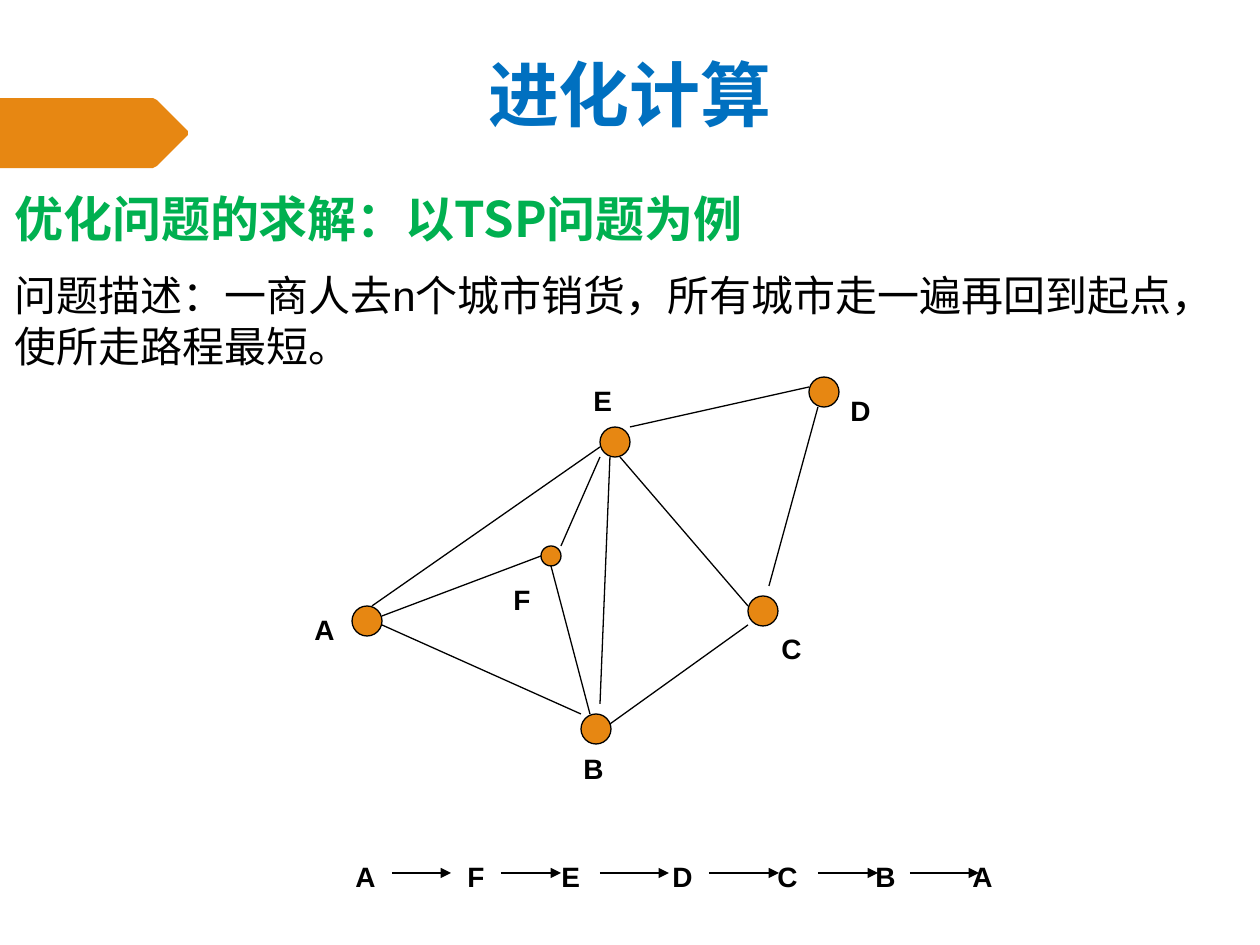
from lxml import etree
from pptx import Presentation
from pptx.dml.color import RGBColor
from pptx.enum.shapes import MSO_CONNECTOR, MSO_SHAPE
from pptx.enum.text import MSO_ANCHOR, PP_ALIGN
from pptx.oxml.ns import qn
from pptx.util import Emu, Pt

PX = 914400 // 126
STRAIGHT, OVAL = MSO_CONNECTOR.STRAIGHT, MSO_SHAPE.OVAL
MIDDLE, TOP = MSO_ANCHOR.MIDDLE, MSO_ANCHOR.TOP
CENTER, LEFT = PP_ALIGN.CENTER, PP_ALIGN.LEFT
CJK, LATIN = "Noto Sans CJK SC", "Arial"
COLORS = {"orange": "E78712", "blue": "0070C0", "green": "00B050", "black": "000000"}

# Content: boxes are (left, top, width, height) in px
HEADINGS = [
    ("进化计算", (62, 45, 1136, 96),
     {"size": 40.5, "font": CJK, "color": "blue", "bold": True}, CENTER, MIDDLE, None),
    ("优化问题的求解：以TSP问题为例", (2, 181, 1109, 72),
     {"size": 28, "font": CJK, "color": "green", "bold": True}, LEFT, TOP, 34.2),
    ("问题描述：一商人去n个城市销货，所有城市走一遍再回到起点，使所走路程最短。",
     (2, 262, 1195, 115),
     {"size": 24, "font": LATIN, "color": "black", "bold": False}, LEFT, TOP, 29.3),
]
LABEL = {"size": 16, "font": LATIN, "color": "black", "bold": True}
BANNER = [(0, 98), (153, 98), (157, 100), (188, 131), (188, 135),
          (157, 166), (153, 168), (0, 168)]

# City: (left, top, diameter), (label left, label top)
CITIES = {
    "A": ((352, 606, 30), (302, 606)),
    "B": ((581, 714, 30), (571, 745)),
    "C": ((748, 596, 30), (769, 625)),
    "D": ((809, 377, 30), (838, 387)),
    "E": ((600, 427, 30), (581, 377)),
    "F": ((541, 546, 20), (501, 576)),
}
ROADS = {
    "AF": (382, 616, 541, 556),
    "AB": (382, 625, 581, 714),
    "FB": (551, 566, 590, 714),
    "FE": (561, 546, 600, 457),
    "EB": (610, 457, 600, 704),
    "AE": (372, 606, 600, 447),
    "ED": (630, 427, 809, 387),
    "EC": (620, 457, 748, 606),
    "BC": (610, 724, 748, 625),
    "DC": (818, 407, 769, 586),
}
TOUR = "AFEDCBA"
TOUR_BOX = (343, 853, 674, 47)
TOUR_TABS = [112, 206, 317, 422, 520, 617]
ARROW_Y = 873
ARROWS = [(392, 451), (501, 561), (600, 669), (709, 779), (818, 878), (910, 979)]


def px(*values):
    return [Emu(value * PX) for value in values]


def rgb(name):
    return RGBColor.from_string(COLORS[name])


def add_text(page, text, bounds, style, align=LEFT, anchor=TOP,
             spacing=None, wrap=True, tabs=()):
    frame = page.shapes.add_textbox(*px(*bounds)).text_frame
    frame.word_wrap, frame.vertical_anchor = wrap, anchor
    para = frame.paragraphs[0]
    para.alignment = align
    if spacing:
        para.line_spacing = Pt(spacing)
    if tabs:
        stops = etree.SubElement(para._p.get_or_add_pPr(), qn("a:tabLst"))
        for position in tabs:
            etree.SubElement(stops, qn("a:tab"), pos=str(position * PX), algn="l")
    span = para.add_run()
    span.text = text
    values = {"size": Pt(style["size"]), "name": style["font"], "bold": style["bold"]}
    for name, value in values.items():
        setattr(span.font, name, value)
    span.font.color.rgb = rgb(style["color"])
    etree.SubElement(span._r.get_or_add_rPr(), qn("a:ea"), typeface=CJK)


def add_line(page, ends, arrow=False):
    line = page.shapes.add_connector(STRAIGHT, *px(*ends))
    line.line.color.rgb = rgb("black")
    line.line.width = Pt(0.75)
    if arrow:
        etree.SubElement(line.line._get_or_add_ln(), qn("a:tailEnd"), type="triangle")
    etree.SubElement(line._element.spPr, qn("a:effectLst"))


def add_banner(page):
    builder = page.shapes.build_freeform(*BANNER[0], scale=PX)
    builder.add_line_segments(BANNER[1:], close=True)
    banner = builder.convert_to_shape()
    banner.shadow.inherit = False
    banner.fill.solid()
    banner.fill.fore_color.rgb = rgb("orange")
    banner.line.fill.background()


def add_city(page, left, top, diameter):
    city = page.shapes.add_shape(OVAL, *px(left, top, diameter, diameter))
    city.shadow.inherit = False
    city.fill.solid()
    city.fill.fore_color.rgb = rgb("orange")
    city.line.color.rgb = rgb("black")
    city.line.width = Pt(0.75)


def main():
    deck = Presentation()
    deck.slide_width, deck.slide_height = px(1260, 945)
    page = deck.slides.add_slide(deck.slide_layouts[6])

    # Banner and headings
    add_banner(page)
    for heading in HEADINGS:
        add_text(page, *heading)

    # City graph
    for circle, _ in CITIES.values():
        add_city(page, *circle)
    for ends in ROADS.values():
        add_line(page, ends)
    for name, (_, corner) in CITIES.items():
        add_text(page, name, (*corner, 45, 47), LABEL, wrap=False)

    # Tour along the bottom
    add_text(page, "\t".join(TOUR), TOUR_BOX, LABEL, tabs=TOUR_TABS)
    for start, end in ARROWS:
        add_line(page, (start, ARROW_Y, end, ARROW_Y), arrow=True)

    deck.save("out.pptx")


if __name__ == "__main__":
    main()
